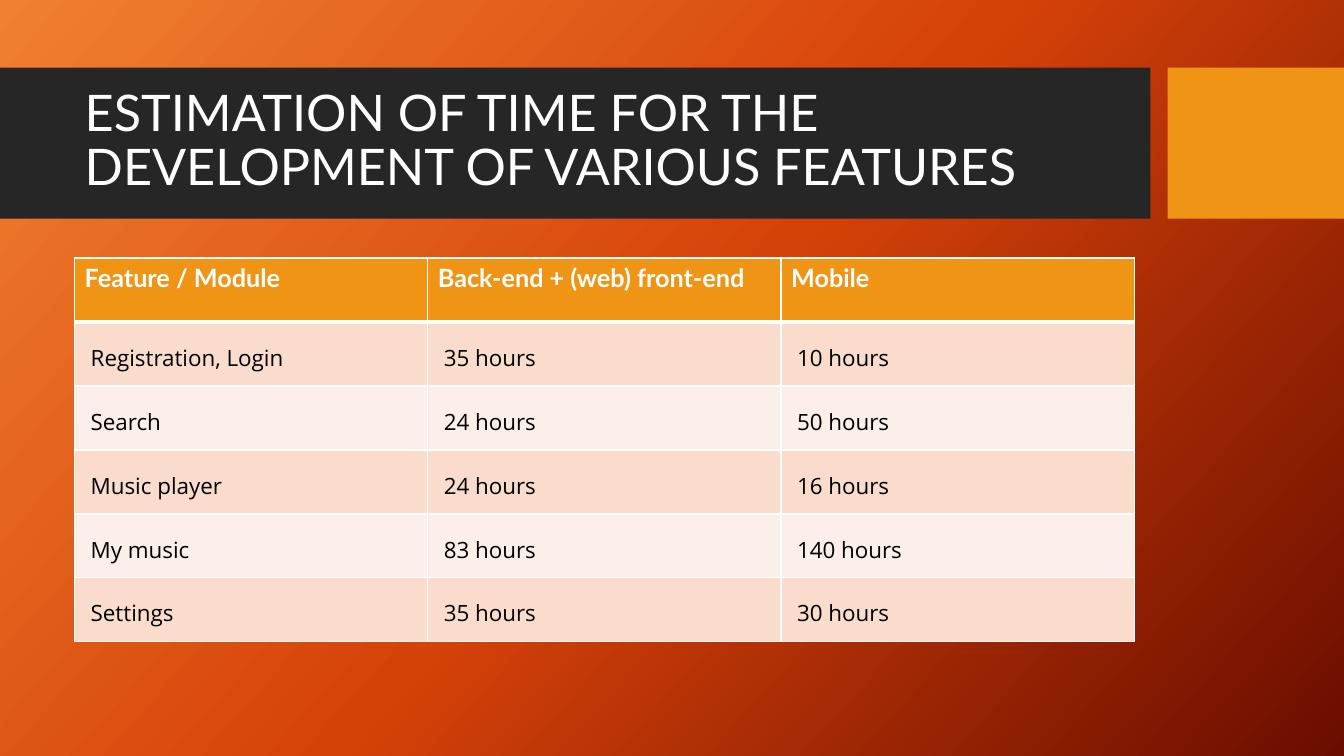
from lxml import etree
from pptx import Presentation
from pptx.dml.color import RGBColor
from pptx.enum.shapes import MSO_SHAPE
from pptx.enum.text import MSO_ANCHOR, MSO_AUTO_SIZE, PP_ALIGN
from pptx.oxml.ns import qn
from pptx.util import Inches, Pt

RECTANGLE = MSO_SHAPE.RECTANGLE
MIDDLE = MSO_ANCHOR.MIDDLE
NO_AUTOFIT = MSO_AUTO_SIZE.NONE
LEFT, JUSTIFY = PP_ALIGN.LEFT, PP_ALIGN.JUSTIFY

WHITE, BLACK, CHARCOAL, ORANGE = "FFFFFF", "000000", "262626", "F09415"
BAND_COLORS = ["F9DCCC", "FCEEE8"]
BACKGROUND_STOPS = [(0, "F18031"), (50, "D54209"), (100, "6A0D00")]
BACKGROUND_ANGLE = 42

TITLE = "ESTIMATION OF TIME FOR THE DEVELOPMENT OF VARIOUS FEATURES"
ESTIMATES = [
    ["Feature / Module", "Back-end + (web) front-end", "Mobile"],
    ["Registration, Login", "35 hours", "10 hours"],
    ["Search", "24 hours", "50 hours"],
    ["Music player", "24 hours", "16 hours"],
    ["My music", "83 hours", "140 hours"],
    ["Settings", "35 hours", "30 hours"],
]


def color(hex_value):
    return RGBColor.from_string(hex_value)


def style_font(paragraph, name, size, hex_value, bold=False):
    for run in paragraph.runs:
        run.font.name = name
        run.font.size = Pt(size)
        run.font.bold = bold
        run.font.color.rgb = color(hex_value)


def add_solid(parent, hex_value):
    fill = etree.SubElement(parent, qn("a:solidFill"))
    etree.SubElement(fill, qn("a:srgbClr"), val=hex_value)


def paint_background(slide):
    fill = slide.background.fill
    fill.gradient()
    fill.gradient_angle = 360 - BACKGROUND_ANGLE
    # Replace the default stops with three
    stop_list = next(slide.element.iter(qn("a:gsLst")))
    for stop in list(stop_list):
        stop_list.remove(stop)
    for position, hex_value in BACKGROUND_STOPS:
        stop = etree.SubElement(stop_list, qn("a:gs"), pos=str(position * 1000))
        etree.SubElement(stop, qn("a:srgbClr"), val=hex_value)


def add_bar(slide, left, top, width, height, hex_value):
    bar = slide.shapes.add_shape(
        RECTANGLE, Inches(left), Inches(top), Inches(width), Inches(height))
    bar.shadow.inherit = False
    bar.fill.solid()
    bar.fill.fore_color.rgb = color(hex_value)
    bar.line.fill.background()


def add_title_band(slide, left, top, width, height):
    # Dark band and orange block, split by a narrow gap
    block_width, gap = 1.75, 0.17
    band_width = width - block_width - gap
    add_bar(slide, left, top, band_width, height, CHARCOAL)
    add_bar(slide, left + band_width + gap, top, block_width, height, ORANGE)

    # Title, raised above the band
    title = slide.shapes.title
    slide.shapes.element.append(title.element)
    title.left, title.top = Inches(left + 0.74), Inches(top + 0.15)
    title.width, title.height = Inches(10.51), Inches(1.18)
    frame = title.text_frame
    frame.text = TITLE
    frame.word_wrap = True
    frame.auto_size = NO_AUTOFIT
    frame.vertical_anchor = MIDDLE
    paragraph = frame.paragraphs[0]
    paragraph.alignment = LEFT
    paragraph.line_spacing = 0.9
    style_font(paragraph, "Lato", 36, WHITE)


def set_borders(cell, top, bottom):
    properties = cell._tc.get_or_add_tcPr()
    for side, points in (("L", 1), ("R", 1), ("T", top), ("B", bottom)):
        line = etree.SubElement(properties, qn(f"a:ln{side}"), w=str(Pt(points)))
        add_solid(line, WHITE)


def format_cell(cell, row):
    set_borders(cell, top=3 if row == 1 else 1, bottom=3 if row == 0 else 1)
    cell.fill.solid()
    paragraph = cell.text_frame.paragraphs[0]
    if row == 0:
        cell.fill.fore_color.rgb = color(ORANGE)
        style_font(paragraph, "Lato", 18, WHITE, bold=True)
        return
    cell.fill.fore_color.rgb = color(BAND_COLORS[(row - 1) % 2])
    cell.margin_left = cell.margin_right = Inches(0.16)
    paragraph.alignment = JUSTIFY
    paragraph.line_spacing = 1.5
    paragraph.space_after = Pt(8)
    style_font(paragraph, "Open Sans", 16, BLACK)


def add_estimates_table(slide, left, top, width, height):
    table = slide.shapes.add_table(
        len(ESTIMATES), len(ESTIMATES[0]),
        Inches(left), Inches(top), Inches(width), Inches(height)).table
    for row, values in enumerate(ESTIMATES):
        for column, value in enumerate(values):
            cell = table.cell(row, column)
            cell.text_frame.text = value
            format_cell(cell, row)


def main():
    presentation = Presentation()
    presentation.slide_width = Inches(13.33)
    presentation.slide_height = Inches(7.5)
    title_only = presentation.slide_layouts[5]
    slide = presentation.slides.add_slide(title_only)
    paint_background(slide)
    add_title_band(slide, 0, 0.67, 13.33, 1.5)
    add_estimates_table(slide, 0.74, 2.56, 10.51, 3.81)
    presentation.save("out.pptx")


if __name__ == "__main__":
    main()
